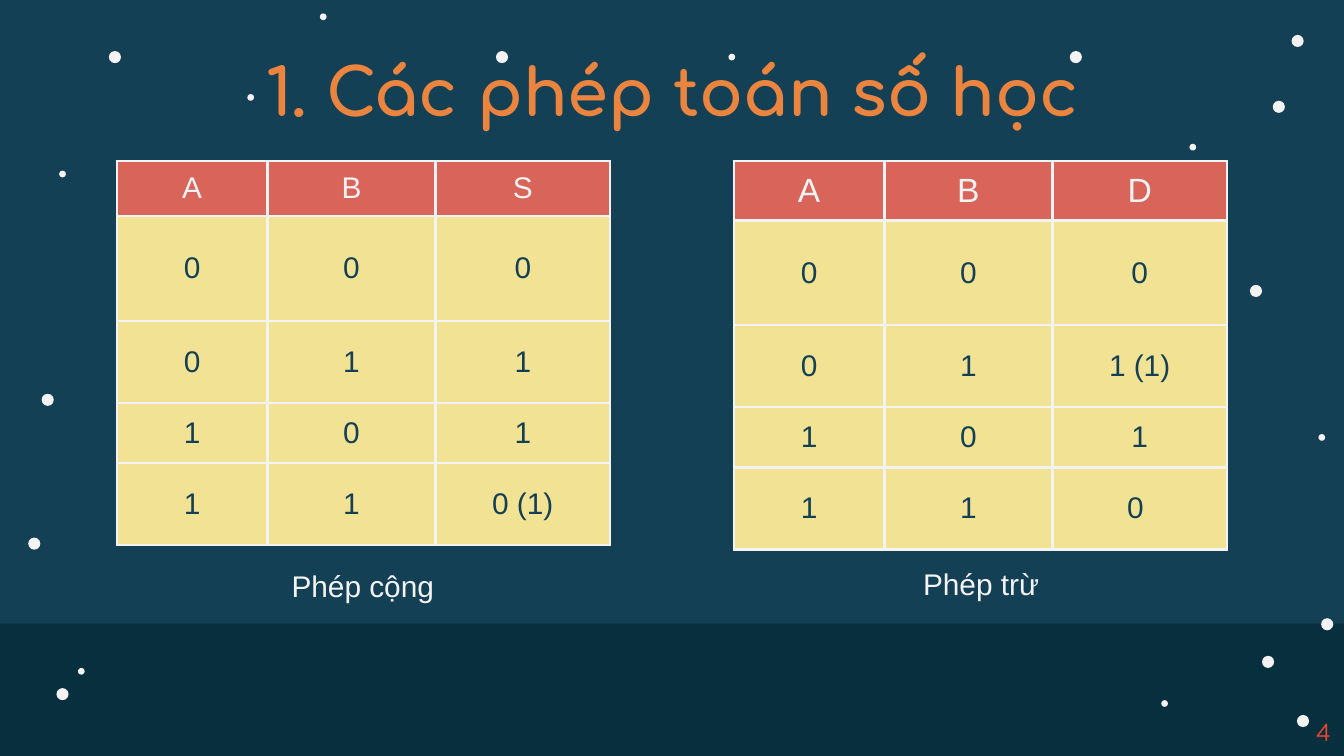
from dataclasses import dataclass

from lxml import etree
from pptx import Presentation, util as u
from pptx.dml.color import RGBColor
from pptx.enum import shapes, text
from pptx.oxml import ns


@dataclass(frozen=True)
class Theme:
    sky: str = "144055"
    ground: str = "082F3D"
    light: str = "F3F3F3"
    title: str = "EA843F"
    header: str = "D96459"
    body: str = "F2E394"
    number: str = "ED472F"
    display_font: str = "Comfortaa"
    text_font: str = "Arial"
    title_size: int = 35
    text_size: int = 16
    large_size: int = 18
    number_size: int = 12
    border: float = 1.5


T = Theme()
CENTER, RIGHT = text.PP_ALIGN.CENTER, text.PP_ALIGN.RIGHT
LARGE_STARS = [
    (0.81, 0.38), (9.3, 2.12), (7.96, 0.38), (9.61, 0.26), (3.69, 0.38),
    (9.65, 5.32), (0.31, 2.93), (9.47, 0.75), (9.39, 4.88), (9.83, 4.6),
    (0.21, 4), (0.42, 5.12),
]
SMALL_STARS = [
    (0.44, 1.27), (8.85, 1.07), (8.64, 5.21), (0.58, 4.97),
    (5.42, 0.4), (2.38, 0.1), (1.84, 0.7), (9.81, 3.23),
]
COLUMNS = [1.12, 1.25, 1.3]
ROWS = [0.78, 0.61, 0.45, 0.61]
ADDITION = ["A B S".split(), ["0", "0", "0"], ["0", "1", "1"],
            ["1", "0", "1"], ["1", "1", "0 (1)"]]
SUBTRACTION = ["A B D".split(), ["0", "0", "0"], ["0", "1", "1 (1)"],
               ["1", "0", "1"], ["1", "1", "0 "]]


def rgb(color):
    return RGBColor.from_string(color)


def write(tf, words, size, font, color, align=CENTER, bold=False):
    tf.text = words
    p = tf.paragraphs[0]
    p.alignment = align
    f = p.runs[0].font
    f.size, f.name, f.bold = u.Pt(size), font, bold
    f.color.rgb = rgb(color)


def add_solid(s, kind, box, color):
    """Add a preset shape without outline or shadow."""
    sp = s.shapes.add_shape(kind, *map(u.Inches, box))
    sp.shadow.inherit = False
    sp.fill.solid()
    sp.fill.fore_color.rgb = rgb(color)
    sp.line.fill.background()


def add_night_sky(s):
    s.background.fill.solid()
    s.background.fill.fore_color.rgb = rgb(T.sky)
    add_solid(s, shapes.MSO_SHAPE.RECTANGLE, (0, 4.64, 10, 1.02), T.ground)
    for spots, size in ((LARGE_STARS, 0.09), (SMALL_STARS, 0.05)):
        for x, y in spots:
            add_solid(s, shapes.MSO_SHAPE.OVAL, (x, y, size, size), T.light)


def place_title(s, words, box):
    sp = s.shapes.title
    sp.left, sp.top, sp.width, sp.height = map(u.Inches, box)
    # Keep the title in front of the stars
    sp.element.getparent().append(sp.element)
    tf = sp.text_frame
    tf.word_wrap = True
    tf.auto_size = text.MSO_AUTO_SIZE.NONE
    tf.vertical_anchor = text.MSO_ANCHOR.MIDDLE
    tf.margin_left = tf.margin_right = u.Inches(0.1)
    tf.margin_top = tf.margin_bottom = u.Inches(0.1)
    write(tf, words, T.title_size, T.display_font, T.title, bold=True)


def add_label(s, words, box, size, font, color, align=CENTER):
    tf = s.shapes.add_textbox(*map(u.Inches, box)).text_frame
    tf.word_wrap = True
    tf.vertical_anchor = text.MSO_ANCHOR.MIDDLE
    write(tf, words, size, font, color, align)


def add_borders(cell):
    tc_pr = cell._tc.get_or_add_tcPr()
    for side in ("a:lnL", "a:lnR", "a:lnT", "a:lnB"):
        ln = etree.SubElement(tc_pr, ns.qn(side), w=str(u.Pt(T.border)))
        fill = etree.SubElement(ln, ns.qn("a:solidFill"))
        etree.SubElement(fill, ns.qn("a:srgbClr"), val=T.light)


def add_truth_table(s, values, x, y, header_size, header_height):
    heights = [header_height, *ROWS]
    box = (x, y, sum(COLUMNS), sum(heights))
    table = s.shapes.add_table(
        len(values), len(COLUMNS), *map(u.Inches, box)).table
    for column, width in zip(table.columns, COLUMNS):
        column.width = u.Inches(width)
    for i, (row, height) in enumerate(zip(table.rows, heights)):
        row.height = u.Inches(height)
        if i == 0:
            size, color, fill = header_size, T.light, T.header
        else:
            size, color, fill = T.text_size, T.sky, T.body
        for cell, words in zip(row.cells, values[i]):
            cell.margin_left = cell.margin_right = u.Inches(0.08)
            cell.margin_top = cell.margin_bottom = u.Inches(0.08)
            cell.vertical_anchor = text.MSO_ANCHOR.MIDDLE
            add_borders(cell)
            cell.fill.solid()
            cell.fill.fore_color.rgb = rgb(fill)
            write(cell.text_frame, words, size, T.text_font, color)


def add_operations_slide(prs):
    s = prs.slides.add_slide(prs.slide_layouts[5])
    add_night_sky(s)
    place_title(s, "1. Các phép toán số học", (0.79, 0.36, 8.43, 0.63))
    add_truth_table(s, ADDITION, 0.87, 1.2, T.text_size, 0.4)
    add_truth_table(s, SUBTRACTION, 5.46, 1.2, T.large_size, 0.43)
    for words, x, y in (("Phép cộng", 1.57, 4.17), ("Phép trừ", 6.17, 4.16)):
        add_label(s, words, (x, y, 2.26, 0.37),
                  T.text_size, T.text_font, T.light)
    add_label(s, "4", (7.75, 5.3, 2.25, 0.3),
              T.number_size, T.display_font, T.number, RIGHT)


def main():
    prs = Presentation()
    prs.slide_width = u.Inches(10)
    prs.slide_height = prs.slide_width * 9 // 16
    add_operations_slide(prs)
    prs.save("out.pptx")


if __name__ == "__main__":
    main()
